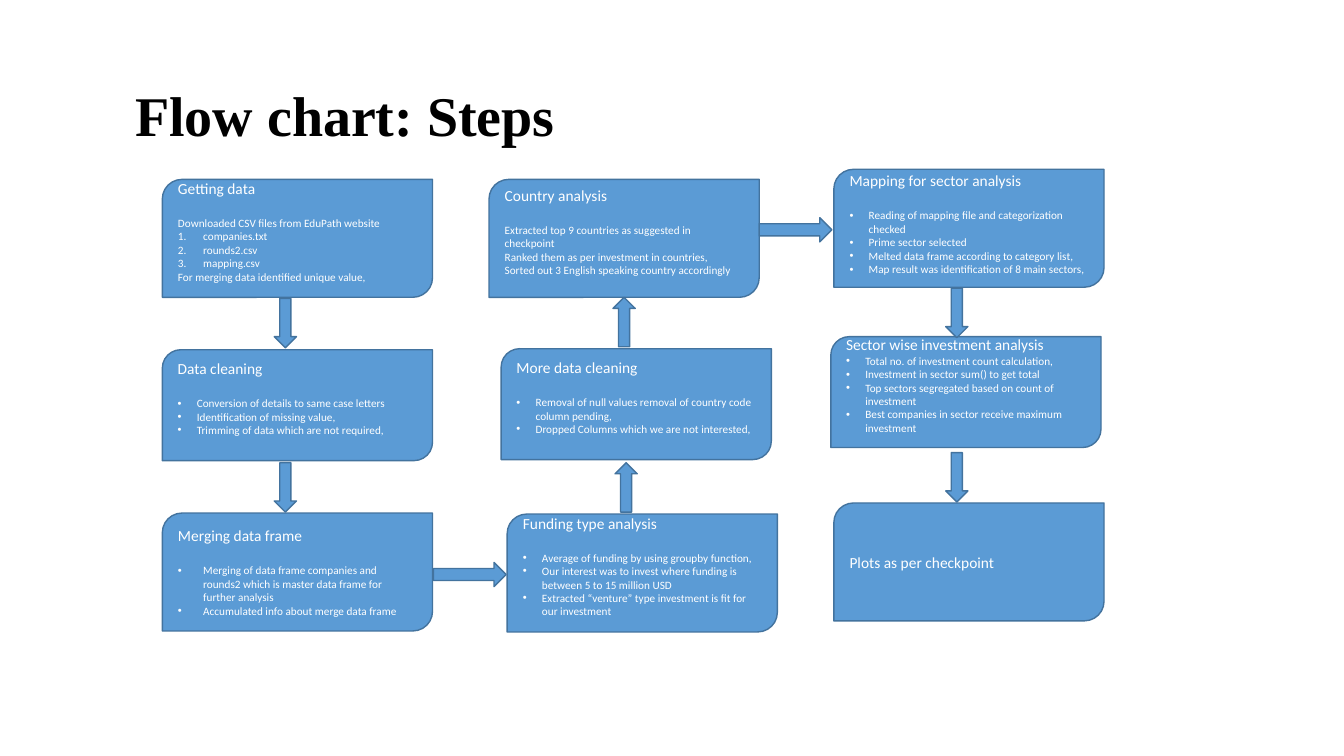
from lxml import etree
from pptx import Presentation
from pptx.dml.color import RGBColor
from pptx.enum.shapes import MSO_SHAPE
from pptx.enum.text import MSO_ANCHOR, MSO_AUTO_SIZE, PP_ALIGN
from pptx.oxml.ns import qn
from pptx.util import Emu, Pt

EMU_PER_PX = 9144
STEP_SHAPE = MSO_SHAPE.ROUND_2_DIAG_RECTANGLE
DOWN, UP, RIGHT = MSO_SHAPE.DOWN_ARROW, MSO_SHAPE.UP_ARROW, MSO_SHAPE.RIGHT_ARROW
MIDDLE, LEFT, NO_FIT = MSO_ANCHOR.MIDDLE, PP_ALIGN.LEFT, MSO_AUTO_SIZE.NONE

FILL, OUTLINE, WHITE, BLACK = "5B9BD5", "43739E", "FFFFFF", "000000"
STEP_WIDTH, TALL, SHORT = 268, 117, 110
HEADING_GAP = 13.4
BULLET, NUMBER, PLAIN = "bullet", "number", "plain"

STEPS = [
    dict(at=(161, 178), height=TALL, heading="Getting data", tail=14, groups=[
        (PLAIN, 0, ["Downloaded CSV files from EduPath website"]),
        (NUMBER, 25, ["companies.txt", "rounds2.csv", "mapping.csv"]),
        (PLAIN, 0, ["For merging data identified unique value,"])]),
    dict(at=(161, 347), height=SHORT, heading="Data cleaning", tail=14, groups=[
        (BULLET, 19, ["Conversion of details to same case letters",
                      "Identification of missing value,",
                      "Trimming of data which are not required,"])]),
    dict(at=(161, 509), height=TALL, heading="Merging data frame", groups=[
        (BULLET, 25, ["Merging of data frame companies and rounds2 which is "
                      "master data frame for further analysis",
                      "Accumulated info about merge data frame"])]),
    dict(at=(503, 510), height=TALL, heading="Funding type analysis", tail=14, groups=[
        (BULLET, 19, ["Average of funding by using groupby function,",
                      "Our interest was to invest where funding is between 5 to 15 million USD",
                      "Extracted “venture” type investment is fit for our investment"])]),
    dict(at=(497, 346), height=SHORT, heading="More data cleaning", tail=14, groups=[
        (BULLET, 19, ["Removal of null values removal of country code column pending,",
                      "Dropped Columns which we are not interested,"])]),
    dict(at=(485, 178), height=TALL, heading="Country analysis", tail=14, groups=[
        (PLAIN, 0, ["Extracted top 9 countries as suggested in checkpoint",
                    "Ranked them as per investment in countries,",
                    "Sorted out 3 English speaking country accordingly"])]),
    dict(at=(827, 168), height=TALL, heading="Mapping for sector analysis", tail=9, groups=[
        (BULLET, 19, ["Reading of mapping file and categorization checked",
                      "Prime sector selected",
                      "Melted data frame according to category list,",
                      "Map result was identification of 8 main sectors,"])]),
    dict(at=(824, 334), height=SHORT, heading="Sector wise investment analysis",
         gap=0, tail=14, groups=[
        (BULLET, 19, ["Total no. of investment count calculation,",
                      "Investment in sector sum() to get total",
                      "Top sectors segregated based on count of investment",
                      "Best companies in sector receive maximum investment"])]),
    dict(at=(827, 499), height=TALL, heading="Plots as per checkpoint", gap=0, groups=[]),
]

ARROWS = [
    (DOWN, 272, 296), (DOWN, 272, 459), (RIGHT, 430, 558),
    (UP, 610, 459), (UP, 608, 295), (RIGHT, 753, 216),
    (DOWN, 938, 286), (DOWN, 938, 449),
]


def px(length):
    """Turn px into EMU."""
    return Emu(length * EMU_PER_PX)


def color(value):
    """Turn a hex string into a colour."""
    return RGBColor.from_string(value)


def write(para, text, size=8, font="Calibri", ink=WHITE, bold=False, after=0):
    """Put formatted, left-aligned text into a paragraph."""
    para.alignment = LEFT
    para.space_before, para.space_after = Pt(0), Pt(after)
    span = para.add_run()
    span.text = text
    span.font.size, span.font.name, span.font.bold = Pt(size), font, bold
    span.font.color.rgb = color(ink)


def mark(para, kind, indent):
    """Give a paragraph a hanging bullet or number."""
    props = para._p.get_or_add_pPr()
    props.set("marL", str(px(indent)))
    props.set("indent", str(-px(indent)))
    if kind == BULLET:
        etree.SubElement(props, qn("a:buFont")).set("typeface", "Arial")
        etree.SubElement(props, qn("a:buChar")).set("char", "•")
    else:
        etree.SubElement(props, qn("a:buAutoNum")).set("type", "arabicPeriod")


def add_block(page, kind, left, top, width, height):
    """Add a blue outlined shape."""
    block = page.shapes.add_shape(kind, px(left), px(top), px(width), px(height))
    block.shadow.inherit = False
    block.fill.solid()
    block.fill.fore_color.rgb = color(FILL)
    block.line.color.rgb = color(OUTLINE)
    block.line.width = Pt(1)
    return block


def add_step(page, at, height, heading, groups, gap=HEADING_GAP, tail=0):
    """Add a step box with its heading and lines."""
    frame = add_block(page, STEP_SHAPE, *at, STEP_WIDTH, height).text_frame
    frame.word_wrap, frame.vertical_anchor = True, MIDDLE
    frame.margin_bottom = px(5 + tail)
    write(frame.paragraphs[0], heading, size=11, after=gap)
    for kind, indent, lines in groups:
        for line in lines:
            para = frame.add_paragraph()
            write(para, line)
            if kind != PLAIN:
                mark(para, kind, indent)


def add_arrow(page, kind, left, top):
    """Add a block arrow sized for its direction."""
    width, height = (72, 24) if kind == RIGHT else (22, 49)
    add_block(page, kind, left, top, width, height)


def add_title(page, left, top, width, height):
    """Place and fill the title."""
    title = page.shapes.title
    title.left, title.top, title.width, title.height = map(px, (left, top, width, height))
    frame = title.text_frame
    frame.auto_size, frame.word_wrap, frame.vertical_anchor = NO_FIT, True, MIDDLE
    para = frame.paragraphs[0]
    para.line_spacing = 0.9
    write(para, "Flow chart: Steps", size=40, font="Times New Roman", ink=BLACK, bold=True)


def main():
    """Build the flow chart slide."""
    deck = Presentation()
    deck.slide_width, deck.slide_height = px(1333), px(750)
    page = deck.slides.add_slide(deck.slide_layouts[5])
    add_title(page, 124, 70, 1019, 94)
    for step in STEPS:
        add_step(page, **step)
    for arrow in ARROWS:
        add_arrow(page, *arrow)
    deck.save("out.pptx")


if __name__ == "__main__":
    main()
